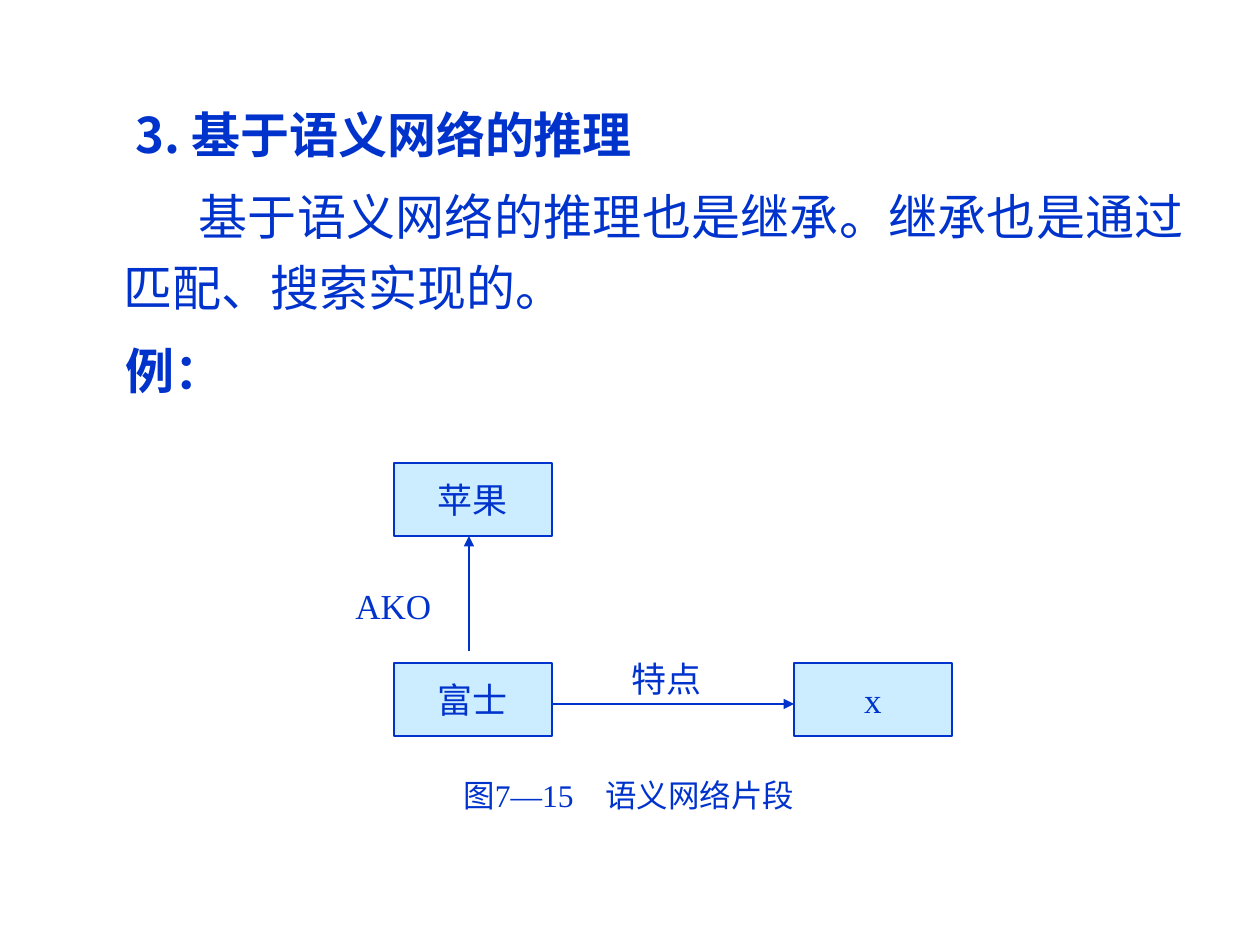
from lxml.etree import SubElement
from pptx import Presentation
from pptx.dml.color import RGBColor
from pptx.enum.shapes import MSO_CONNECTOR, MSO_SHAPE
from pptx.enum.text import MSO_ANCHOR, MSO_AUTO_SIZE, PP_ALIGN
from pptx.oxml.ns import qn
from pptx.util import Emu, Pt

BLUE = RGBColor(0x00, 0x33, 0xCC)
PALE = RGBColor(0xCC, 0xEC, 0xFF)
SANS, ARIAL, SERIF = "Noto Sans CJK SC", "Arial", "Times New Roman"

# Body: text, font, bold, left margin, first-line indent
BODY_BOX = (63, 86, 1134, 758)
BODY = [
    ("3. 基于语义网络的推理", SANS, True, 60, 0),
    ("基于语义网络的推理也是继承。继承也是通过匹配、搜索实现的。", ARIAL, False, 48, 75),
    ("例：", SANS, True, 50, 0),
]

# Semantic network: nodes share one size
NODE_W, NODE_H = 158, 73
NODES = [("苹果", 394, 463), ("x", 794, 663), ("富士", 394, 663)]
ARROWS = [(469, 651, 469, 536), (552, 704, 794, 704)]
# Labels: text, box, size, space before, left margin, wrap
LABELS = [
    ("特点", (605, 651, 147, 55), 20, 12.5, 14, True),
    ("AKO", (343, 578, 116, 55), 20, 12.5, 0, True),
    ("图7―15　语义网络片段", (451, 770, 365, 50), 18, 0, 0, False),
]


def px(n):
    return Emu(round(n * 914400 / 126))


def box(*lengths):
    return [px(n) for n in lengths]


def write(p, text, font, size, bold=False, margin=0, indent=0, **para):
    """Fill one paragraph with a single formatted run."""
    for name, value in para.items():
        setattr(p, name, value)
    pPr = p._p.get_or_add_pPr()
    pPr.set("marL", str(px(margin)))
    pPr.set("indent", str(px(indent)))
    SubElement(pPr, qn("a:buNone"))
    r = p.add_run()
    r.text = text
    for name, value in dict(name=font, size=Pt(size), bold=bold).items():
        setattr(r.font, name, value)
    r.font.color.rgb = BLUE
    SubElement(r._r.get_or_add_rPr(), qn("a:ea")).set("typeface", SANS)


prs = Presentation()
prs.slide_width, prs.slide_height = box(1260, 945)
s = prs.slides.add_slide(prs.slide_layouts[1])
title = s.shapes.title
title._element.getparent().remove(title._element)

# Body text
body = s.placeholders[1]
body.left, body.top, body.width, body.height = box(*BODY_BOX)
tf = body.text_frame
tf.auto_size = MSO_AUTO_SIZE.NONE
for i, (text, font, bold, margin, indent) in enumerate(BODY):
    p = tf.add_paragraph() if i else tf.paragraphs[0]
    write(p, text, font, 28, bold, margin, indent, alignment=PP_ALIGN.JUSTIFY,
          line_spacing=1.2, space_before=Pt(7))

# Nodes
for text, x, y in NODES:
    sp = s.shapes.add_shape(MSO_SHAPE.RECTANGLE, *box(x, y, NODE_W, NODE_H))
    sp.shadow.inherit = False
    sp.fill.solid()
    sp.fill.fore_color.rgb = PALE
    sp.line.color.rgb = BLUE
    sp.line.width = Pt(0.75)
    tf = sp.text_frame
    tf.word_wrap = False
    tf.vertical_anchor = MSO_ANCHOR.MIDDLE
    write(tf.paragraphs[0], text, SERIF, 20, alignment=PP_ALIGN.CENTER)

# Arrows
for ends in ARROWS:
    line = s.shapes.add_connector(MSO_CONNECTOR.STRAIGHT, *box(*ends))
    line.line.color.rgb = BLUE
    line.line.width = Pt(0.75)
    SubElement(line.line._get_or_add_ln(), qn("a:tailEnd")).set("type", "triangle")
    SubElement(line._element.spPr, qn("a:effectLst"))

# Arrow labels and caption
for text, place, size, before, margin, wrap in LABELS:
    tf = s.shapes.add_textbox(*box(*place)).text_frame
    tf.word_wrap = wrap
    tf.auto_size = MSO_AUTO_SIZE.SHAPE_TO_FIT_TEXT
    write(tf.paragraphs[0], text, SERIF, size, margin=margin, space_before=Pt(before))

prs.save("out.pptx")
